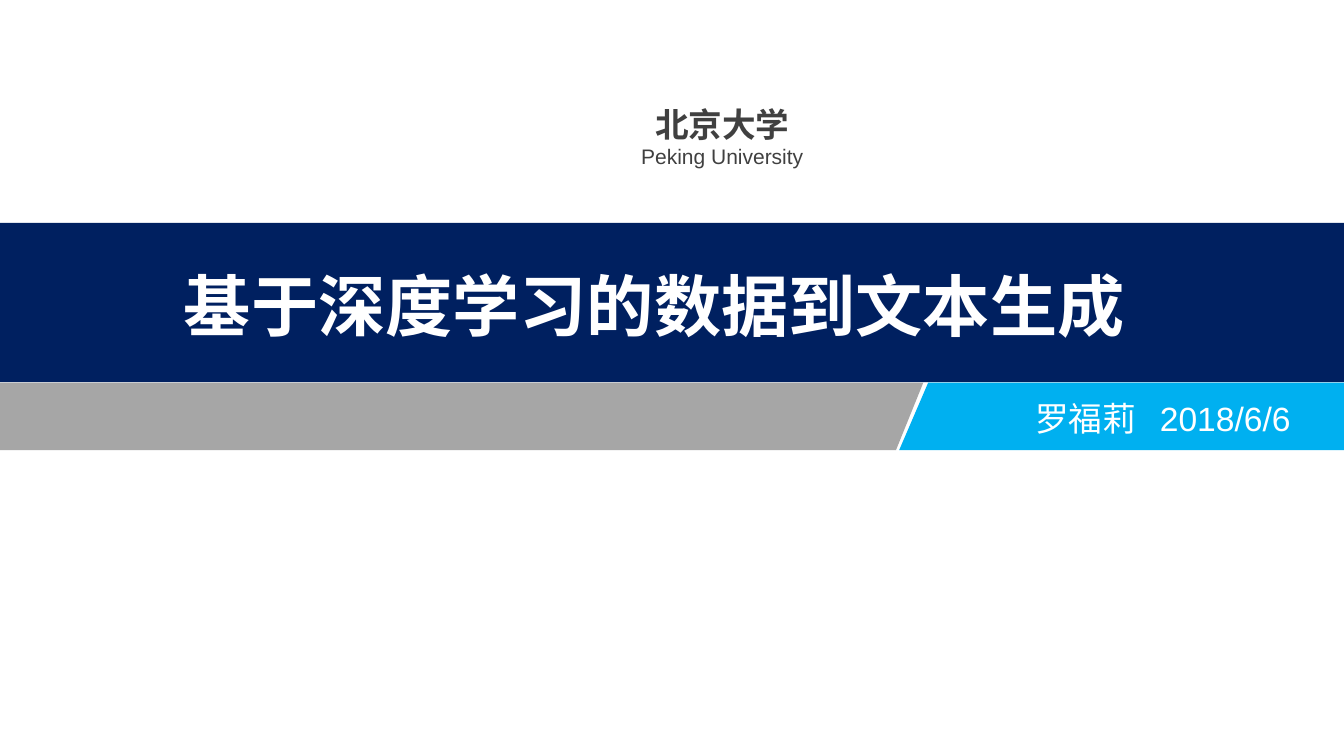
from lxml.etree import SubElement
from pptx import Presentation
from pptx.dml.color import RGBColor
from pptx.enum.shapes import MSO_SHAPE
from pptx.enum.text import PP_ALIGN
from pptx.oxml.ns import qn
from pptx.util import Pt

WIDTH, HEIGHT = 960, 540
NAVY, GREY, BLUE = "002060", "A6A6A6", "00B0F0"
WHITE, DARK = "FFFFFF", "404040"


def color(value):
    return RGBColor.from_string(value)


def paint(shape, fill):
    shape.shadow.inherit = False
    shape.fill.solid()
    shape.fill.fore_color.rgb = color(fill)
    shape.line.fill.background()


def add_polygon(slide, points, fill):
    builder = slide.shapes.build_freeform(Pt(points[0][0]), Pt(points[0][1]))
    builder.add_line_segments([(Pt(x), Pt(y)) for x, y in points[1:]], close=True)
    paint(builder.convert_to_shape(), fill)


def add_text(slide, box, lines, text_color, align=PP_ALIGN.CENTER, indent=7.2, tab=None):
    """Write lines of (text, size, bold); tab is the distance of a tab stop from the indent."""
    frame = slide.shapes.add_textbox(*map(Pt, box)).text_frame
    frame.word_wrap = True
    frame.margin_left = Pt(indent)
    for index, (text, size, bold) in enumerate(lines):
        paragraph = frame.paragraphs[0] if index == 0 else frame.add_paragraph()
        paragraph.text = text
        paragraph.alignment = align
        if tab:
            tabs = SubElement(paragraph._p.get_or_add_pPr(), qn("a:tabLst"))
            SubElement(tabs, qn("a:tab"), pos=str(Pt(tab)), algn="l")
        font = paragraph.font
        font.name, font.size, font.bold = "Arial", Pt(size), bold
        font.color.rgb = color(text_color)


def add_university(slide, left, top, width, height):
    lines = [("北京大学", 24, True), ("Peking University", 15, False)]
    add_text(slide, (left, top, width, height), lines, DARK, indent=15)


def add_title_banner(slide, left, top, width, height):
    banner = slide.shapes.add_shape(
        MSO_SHAPE.RECTANGLE, Pt(left), Pt(top), Pt(width), Pt(height))
    paint(banner, NAVY)
    add_text(slide, (left + 121, top + 26, 692.6, 65.5),
             [("基于深度学习的数据到文本生成", 48, True)], WHITE)


def add_author_strip(slide, left, top, width, height):
    """Grey and blue bands that meet at a slanted gap, with author and date."""
    right, bottom = left + width, top + height
    add_polygon(slide, [(left, top), (left + 659.5, top),
                        (left + 640, bottom), (left, bottom)], GREY)
    add_polygon(slide, [(left + 663, top), (right, top),
                        (right, bottom), (left + 642.3, bottom)], BLUE)
    add_text(slide, (left + 726.5, top + 7.4, 208, 36),
             [("罗福莉\t2018/6/6", 24, False)], WHITE,
             align=PP_ALIGN.LEFT, indent=13, tab=89)


def main():
    presentation = Presentation()
    presentation.slide_width, presentation.slide_height = Pt(WIDTH), Pt(HEIGHT)
    slide = presentation.slides.add_slide(presentation.slide_layouts[6])
    add_university(slide, 437.8, 70.5, 148.3, 54)
    add_title_banner(slide, 0, 159.1, WIDTH, 113.8)
    add_author_strip(slide, 0, 273.4, WIDTH, 48.2)
    presentation.save("out.pptx")


if __name__ == "__main__":
    main()
